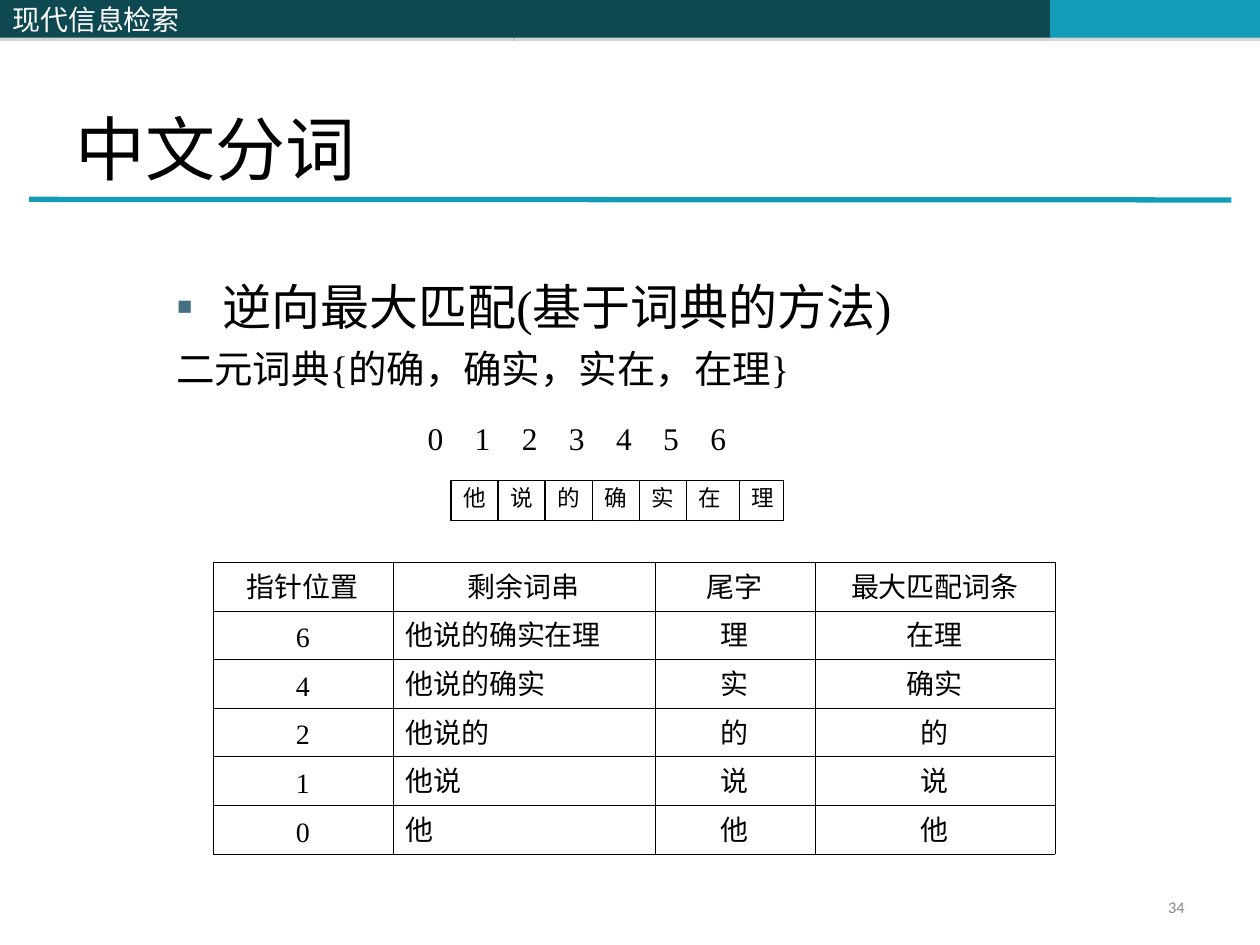
from lxml import etree
from pptx import Presentation
from pptx.dml.color import RGBColor
from pptx.enum.shapes import MSO_CONNECTOR, MSO_SHAPE
from pptx.enum.text import MSO_ANCHOR, PP_ALIGN
from pptx.oxml.ns import qn
from pptx.util import Cm, Pt

BLACK = RGBColor(0x00, 0x00, 0x00)
WHITE = RGBColor(0xFF, 0xFF, 0xFF)
DARK = RGBColor(0x0E, 0x48, 0x51)
TEAL = RGBColor(0x13, 0x9C, 0xB7)
SLATE = RGBColor(0x43, 0x70, 0x85)
GREY = RGBColor(0x89, 0x89, 0x89)
SHADE = RGBColor(0x80, 0x80, 0x80)

RECT = MSO_SHAPE.RECTANGLE
STRAIGHT = MSO_CONNECTOR.STRAIGHT
LEFT, MID, RIGHT, JUST = PP_ALIGN.LEFT, PP_ALIGN.CENTER, PP_ALIGN.RIGHT, PP_ALIGN.JUSTIFY
TOP, CENTER, BOTTOM = MSO_ANCHOR.TOP, MSO_ANCHOR.MIDDLE, MSO_ANCHOR.BOTTOM

SERIF, SANS, HAN = "Times New Roman", "Calibri", "Noto Sans CJK SC"
PHRASE = "他说的确实在理"
STEP = 0.95
HEADS = ["指针位置", "剩余词串", "尾字", "最大匹配词条"]
MATCHES = {6: "在理", 4: "确实", 2: "的", 1: "说", 0: "他"}
WIDTHS = [3.63, 5.28, 3.23, 4.83]


def setall(item, **values):
    """Set each given attribute of the item."""
    for name, value in values.items():
        setattr(item, name, value)


def node(parent, tag, **attrs):
    """Append a drawing element to the parent."""
    return etree.SubElement(parent, qn("a:" + tag), attrs)


def write(para, text, size, name=SERIF, color=BLACK, **values):
    """Write one formatted run into a paragraph."""
    setall(para, **values)
    run = para.add_run()
    run.text = text
    setall(run.font, size=Pt(size), name=name)
    run.font.color.rgb = color
    node(run._r.get_or_add_rPr(), "ea", typeface=HAN)


def box(slide, place, anchor=TOP):
    """Add a wrapping text box and return its frame."""
    frame = slide.shapes.add_textbox(*map(Cm, place)).text_frame
    setall(frame, word_wrap=True, vertical_anchor=anchor)
    return frame


def rect(slide, place, fill, line=None):
    """Add a filled rectangle, outlined if a line colour is given."""
    shape = slide.shapes.add_shape(RECT, *map(Cm, place))
    shape.shadow.inherit = False
    shape.fill.solid()
    shape.fill.fore_color.rgb = fill
    if line is None:
        shape.line.fill.background()
    else:
        shape.line.color.rgb = line
        shape.line.width = Pt(0.75)
    return shape


def bar(slide, left, width, fill):
    """Add a header bar with a soft grey edge below it."""
    shape = rect(slide, (left, 0, width, 0.76), fill)
    effects = shape._element.spPr.find(qn("a:effectLst"))
    shadow = node(effects, "outerShdw", dist=str(Pt(1.8)), dir="5400000")
    node(node(shadow, "srgbClr", val=str(SHADE)), "alpha", val="32000")
    return shape


def header(slide):
    """Add the header bars, the course name and the title rule."""
    bar(slide, 10.35, 10.82, DARK)
    bar(slide, 21.17, 4.23, TEAL)
    rule = slide.shapes.add_connector(STRAIGHT, Cm(0.64), Cm(4.02), Cm(24.77), Cm(4.03))
    rule.line.color.rgb = TEAL
    rule.line.width = Pt(3)
    props = rule._element.spPr
    props.find(qn("a:ln")).set("cap", "sq")
    node(props, "effectLst")
    frame = bar(slide, 0, 10.37, DARK).text_frame
    frame.vertical_anchor = CENTER
    write(frame.paragraphs[0], "现代信息检索", 16, HAN, WHITE, alignment=LEFT)


def title(slide, text):
    """Place and format the title."""
    shape = slide.shapes.title
    setall(shape, left=Cm(1.27), top=Cm(0.76), width=Cm(22.86), height=Cm(3.18))
    shape.text_frame.vertical_anchor = BOTTOM
    write(shape.text_frame.paragraphs[0], text, 40, alignment=LEFT)


def body(slide):
    """Add the method as a bullet and its dictionary below."""
    frame = box(slide, (3.3, 5.44, 21.59, 10.06))
    first, second = frame.paragraphs[0], frame.add_paragraph()
    props = first._p.get_or_add_pPr()
    props.set("marL", str(Cm(0.94)))
    props.set("indent", str(-Cm(0.94)))
    node(node(props, "buClr"), "srgbClr", val=str(SLATE))
    node(props, "buFont", typeface="Arial")
    node(props, "buChar", char="▪")
    write(first, "逆向最大匹配(基于词典的方法)", 28)
    write(second, "二元词典{的确，确实，实在，在理}", 22, space_before=Pt(6))


def index(slide):
    """Number the gaps between characters on even tab stops."""
    para = box(slide, (8.37, 7.74, 8.72, 2.16), CENTER).paragraphs[0]
    tabs = node(para._p.get_or_add_pPr(), "tabLst")
    spots = range(len(PHRASE))
    for i in spots[1:]:
        node(tabs, "tab", pos=str(Cm(i * STEP)), algn="l")
    write(para, "\t".join(map(str, spots)), 18)


def tiles(slide):
    """Lay out the phrase one character a tile, each over the last."""
    last = len(PHRASE) - 1
    for i, char in enumerate(PHRASE):
        left, width = (14.91, 0.89) if i == last else (9.09 + i * STEP, 1.7)
        frame = rect(slide, (left, 9.69, width, 0.81), WHITE, BLACK).text_frame
        frame.vertical_anchor = TOP
        write(frame.paragraphs[0], char, 12.9, alignment=JUST, line_spacing=0.9)


def edge(cell):
    """Draw a thin black border on each side of a cell."""
    props = cell._tc.get_or_add_tcPr()
    for i, side in enumerate(("lnL", "lnR", "lnT", "lnB")):
        line = node(props, side, w=str(Pt(0.11)))
        node(node(line, "solidFill"), "srgbClr", val=str(BLACK))
        props.insert(i, line)


def grid(slide):
    """Add the table of matching steps."""
    rows = [HEADS]
    for spot, match in MATCHES.items():
        rest = PHRASE[:spot + 1]
        rows.append([str(spot), rest, rest[-1], match])
    place = map(Cm, (4.29, 11.33, sum(WIDTHS), 0.98 * len(rows)))
    table = slide.shapes.add_table(len(rows), len(HEADS), *place).table
    setall(table, first_row=False, horz_banding=False)
    for col, width in zip(table.columns, WIDTHS):
        col.width = Cm(width)
    for r, row in enumerate(rows):
        table.rows[r].height = Cm(0.98)
        for c, text in enumerate(row):
            cell = table.cell(r, c)
            cell.vertical_anchor = BOTTOM
            cell.fill.background()
            edge(cell)
            align = LEFT if r and c == 1 else MID
            write(cell.text_frame.paragraphs[0], text, 16,
                  alignment=align, line_spacing=0.87)


def main():
    """Build the slide and save it."""
    deck = Presentation()
    setall(deck, slide_width=Cm(25.4), slide_height=Cm(19.05))
    slide = deck.slides.add_slide(deck.slide_layouts[5])
    header(slide)
    title(slide, "中文分词")
    body(slide)
    number = box(slide, (18.21, 17.98, 5.92, 0.69), CENTER).paragraphs[0]
    write(number, "34", 9.3, SANS, GREY, alignment=RIGHT, line_spacing=0.8)
    grid(slide)
    index(slide)
    tiles(slide)
    deck.save("out.pptx")


if __name__ == "__main__":
    main()
